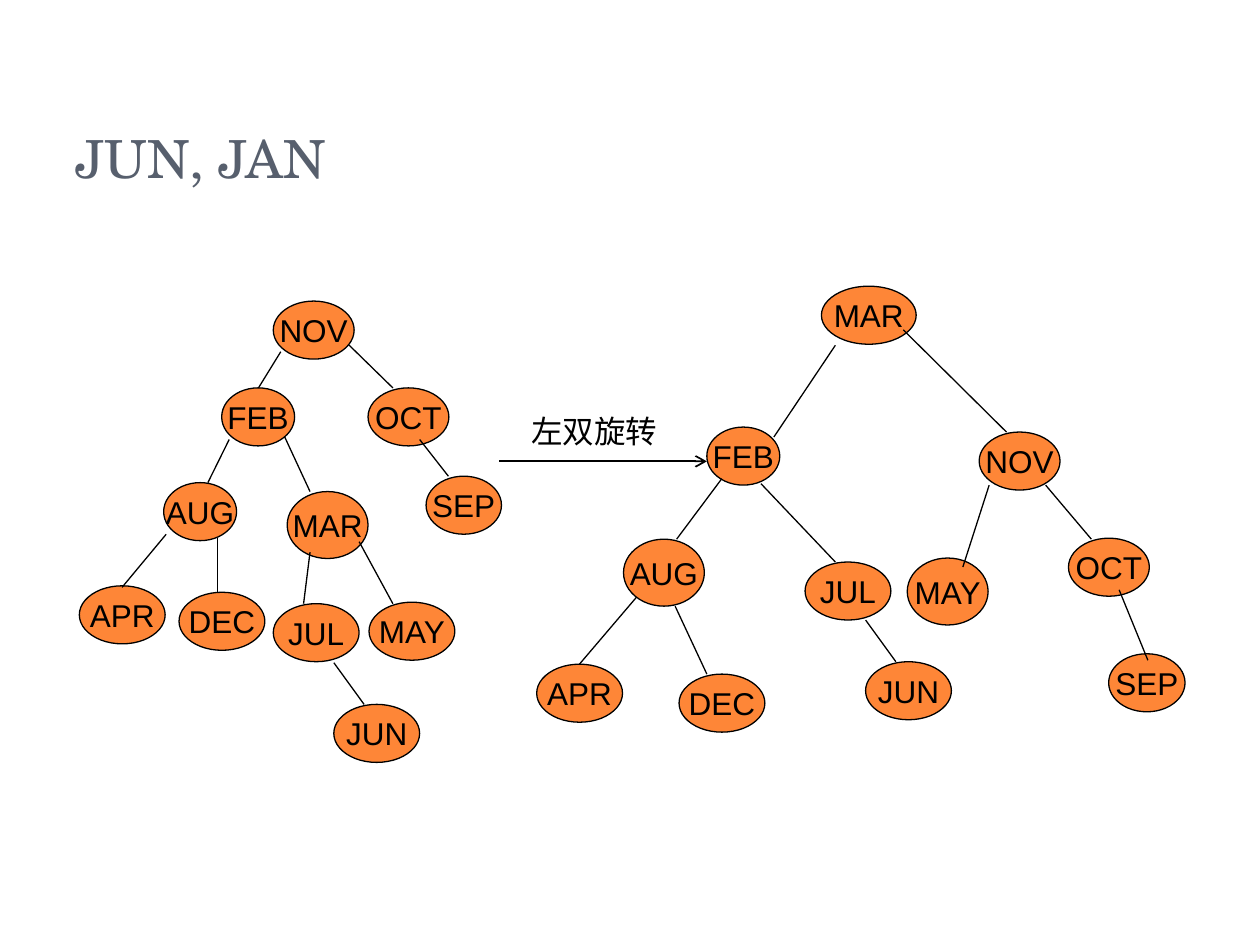
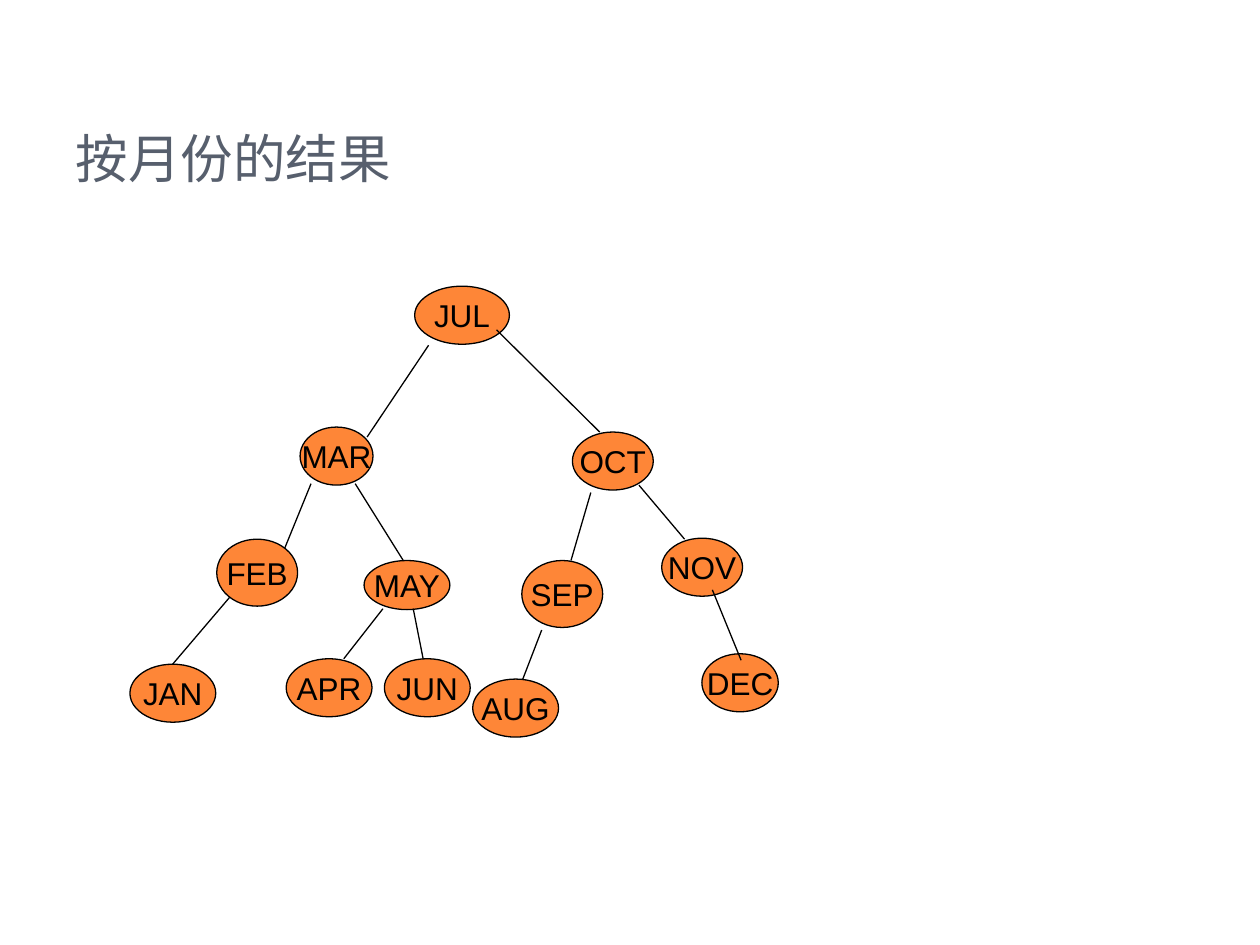
from typing import NamedTuple

from lxml.etree import SubElement
from pptx import Presentation
from pptx.dml.color import RGBColor
from pptx.enum.shapes import MSO_CONNECTOR as Connector, MSO_SHAPE as Preset
from pptx.enum.text import MSO_ANCHOR as Anchor, MSO_AUTO_SIZE as AutoSize, PP_ALIGN as Align
from pptx.oxml.ns import qn
from pptx.util import Cm, Pt

ORANGE = "FE8637"
SLATE = "575F6D"
BLACK = "000000"
TITLE_FONT = "TeX Gyre Schola"
BODY_FONT = "Arial"
TITLE_ONLY = 5
RESULT_SHIFT = -8.2


class Slot(NamedTuple):
    left: float
    top: float
    width: float = 1.73
    height: float = 1.17


class Node(NamedTuple):
    label: str
    slot: Slot


class Edge(NamedTuple):
    x1: float
    y1: float
    x2: float
    y2: float


class Tree(NamedTuple):
    nodes: list[Node]
    edges: list[Edge]


FRAME_SLOTS = [
    Slot(16.56, 5.77, 1.91),
    Slot(14.25, 8.61, 1.47),
    Slot(19.74, 8.71, 1.63),
    Slot(12.57, 10.87, 1.63, 1.35),
    Slot(21.54, 10.85, 1.63),
    Slot(10.82, 13.39),
    Slot(22.35, 13.18, 1.54),
]
FRAME_EDGES = [
    Edge(16.84, 6.96, 15.6, 8.81),
    Edge(18.21, 6.65, 20.29, 8.71),
    Edge(21.08, 9.78, 22, 10.87),
    Edge(12.83, 12.04, 11.68, 13.39),
    Edge(22.56, 11.89, 23.14, 13.31),
]

BEFORE_ROTATION = Tree(
    [
        Node("NOV", Slot(5.51, 6.07, 1.63)),
        Node("FEB", Slot(4.47, 7.82, 1.47)),
        Node("OCT", Slot(7.42, 7.82, 1.63)),
        Node("AUG", Slot(3.3, 9.73, 1.47)),
        Node("MAR", Slot(5.79, 9.91, 1.63, 1.35)),
        Node("SEP", Slot(8.59, 9.6, 1.52)),
        Node("APR", Slot(1.6, 11.81)),
        Node("DEC", Slot(3.61, 11.94)),
        Node("JUL", Slot(5.51, 12.17)),
        Node("MAY", Slot(7.44, 12.14)),
        Node("JUN", Slot(6.73, 14.2)),
    ],
    [
        Edge(5.66, 7.09, 5.21, 7.82),
        Edge(7.04, 6.96, 7.92, 7.82),
        Edge(4.62, 8.86, 4.19, 9.73),
        Edge(5.74, 8.81, 6.25, 9.91),
        Edge(8.46, 8.86, 9.04, 9.6),
        Edge(3.35, 10.77, 2.46, 11.84),
        Edge(4.39, 10.85, 4.39, 11.94),
        Edge(6.25, 11.13, 6.12, 12.17),
        Edge(7.24, 10.92, 7.92, 12.17),
        Edge(6.73, 13.36, 7.34, 14.2),
    ],
)

AFTER_ROTATION_BRANCHES = Tree(
    [
        Node("JUL", Slot(16.23, 11.33)),
        Node("MAY", Slot(18.29, 11.25, 1.63, 1.35)),
        Node("DEC", Slot(13.69, 13.59)),
        Node("JUN", Slot(17.45, 13.34)),
    ],
    [
        Edge(14.55, 9.65, 13.64, 10.87),
        Edge(15.34, 9.75, 16.84, 11.33),
        Edge(19.94, 9.78, 19.41, 11.43),
        Edge(13.61, 12.22, 14.25, 13.59),
        Edge(17.45, 12.5, 18.06, 13.34),
    ],
)

RESULT_BRANCHES = Tree(
    [
        Node("MAY", Slot(7.34, 11.3, 1.73, 0.99)),
        Node("SEP", Slot(10.52, 11.3, 1.63, 1.35)),
        Node("APR", Slot(5.77, 13.28)),
        Node("JUN", Slot(7.75, 13.28)),
        Node("AUG", Slot(9.53, 13.69)),
    ],
    [
        Edge(6.27, 9.75, 5.74, 11.05),
        Edge(7.16, 9.75, 8.13, 11.3),
        Edge(11.91, 9.93, 11.51, 11.3),
        Edge(7.72, 12.27, 6.93, 13.28),
        Edge(8.33, 12.27, 8.53, 13.28),
        Edge(10.92, 12.7, 10.54, 13.69),
    ],
)


def rgb(value: str) -> RGBColor:
    return RGBColor.from_string(value)


def style_text(paragraph, font: str, size: float, color: str) -> None:
    paragraph.font.name = font
    paragraph.font.size = Pt(size)
    paragraph.font.color.rgb = rgb(color)


def balanced_tree(labels: str, branches: Tree, shift: float = 0) -> Tree:
    slots = [slot._replace(left=slot.left + shift) for slot in FRAME_SLOTS]
    edges = [edge._replace(x1=edge.x1 + shift, x2=edge.x2 + shift) for edge in FRAME_EDGES]
    nodes = [Node(label, slot) for label, slot in zip(labels.split(), slots)]
    return Tree(nodes + branches.nodes, edges + branches.edges)


def add_titled_page(deck, title: str):
    page = deck.slides.add_slide(deck.slide_layouts[TITLE_ONLY])
    box = page.shapes.title
    box.left, box.top, box.width, box.height = Cm(1.27), Cm(0.76), Cm(20.75), Cm(3.18)
    frame = box.text_frame
    frame.text = title
    frame.auto_size = AutoSize.NONE
    frame.vertical_anchor = Anchor.BOTTOM
    para = frame.paragraphs[0]
    para.alignment = Align.LEFT
    style_text(para, TITLE_FONT, 30, SLATE)
    return page


def draw_node(page, node: Node) -> None:
    ellipse = page.shapes.add_shape(Preset.OVAL, *map(Cm, node.slot))
    ellipse.shadow.inherit = False
    ellipse.fill.solid()
    ellipse.fill.fore_color.rgb = rgb(ORANGE)
    ellipse.line.color.rgb = rgb(BLACK)
    ellipse.line.width = Pt(0.75)
    frame = ellipse.text_frame
    frame.text = node.label
    frame.word_wrap = False
    frame.vertical_anchor = Anchor.MIDDLE
    para = frame.paragraphs[0]
    para.alignment = Align.CENTER
    style_text(para, BODY_FONT, 18, BLACK)


def draw_edge(page, edge: Edge, width: float = 0.75, arrow: bool = False) -> None:
    line = page.shapes.add_connector(Connector.STRAIGHT, *map(Cm, edge))
    line.line.color.rgb = rgb(BLACK)
    line.line.width = Pt(width)
    if arrow:
        SubElement(line.line._get_or_add_ln(), qn("a:tailEnd"), type="arrow")
    SubElement(line._element.spPr, qn("a:effectLst"))


def draw_tree(page, tree: Tree) -> None:
    for node in tree.nodes:
        draw_node(page, node)
    for edge in tree.edges:
        draw_edge(page, edge)


def draw_rotation(page, caption: str) -> None:
    draw_edge(page, Edge(10.06, 9.3, 14.25, 9.3), width=1, arrow=True)
    box = page.shapes.add_textbox(Cm(10.46), Cm(8.18), Cm(4.19), Cm(1.02))
    box.text_frame.word_wrap = True
    box.text_frame.text = caption
    style_text(box.text_frame.paragraphs[0], BODY_FONT, 18, BLACK)


def main() -> None:
    deck = Presentation()
    deck.slide_width, deck.slide_height = Cm(25.4), Cm(19.05)

    page = add_titled_page(deck, "JUN, JAN")
    draw_tree(page, BEFORE_ROTATION)
    draw_rotation(page, "左双旋转")
    draw_tree(page, balanced_tree("MAR FEB NOV AUG OCT APR SEP", AFTER_ROTATION_BRANCHES))

    page = add_titled_page(deck, "按月份的结果")
    draw_tree(page, balanced_tree("JUL MAR OCT FEB NOV JAN DEC", RESULT_BRANCHES, RESULT_SHIFT))

    deck.save("out.pptx")


if __name__ == "__main__":
    main()
